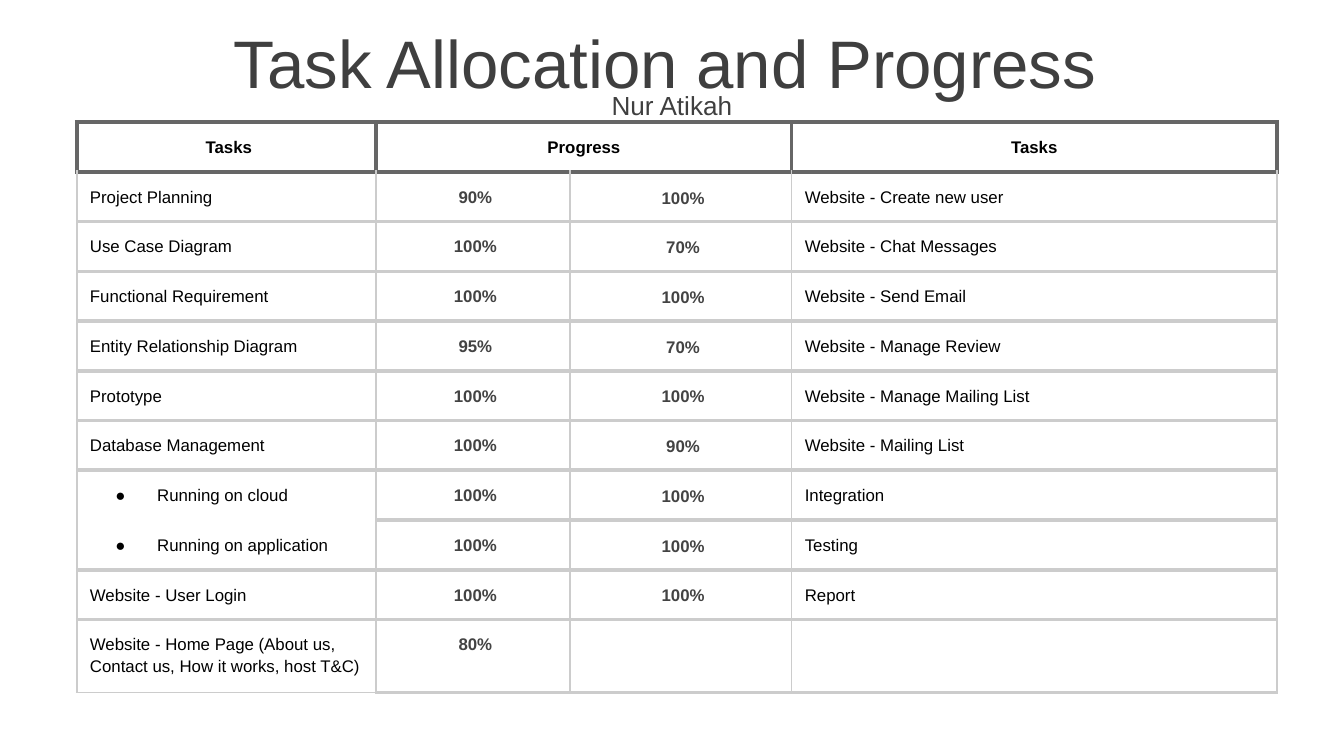
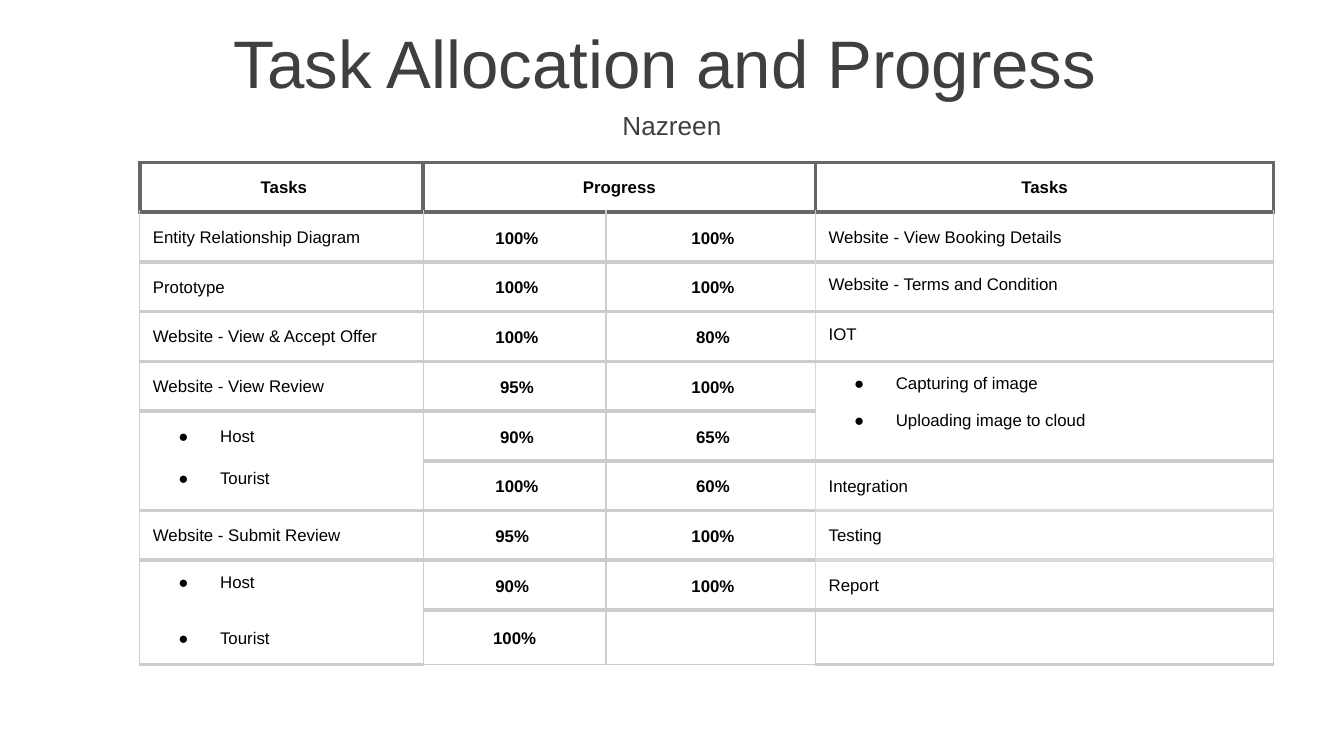
"""Build the two task allocation and progress slides."""
from dataclasses import dataclass
from typing import Optional, Union

from lxml.etree import SubElement
from pptx import Presentation
from pptx.dml.color import RGBColor
from pptx.enum.text import MSO_ANCHOR, PP_ALIGN
from pptx.oxml.ns import qn
from pptx.util import Cm, Pt

FONT = "Arial"
BLACK, TITLE_GRAY, DARK_GRAY = "000000", "3F3F3F", "434343"
HEADER_LINE, GRID_LINE, PALE_LINE = "666666", "CCCCCC", "D9D9D9"
THIN, THICK = 1.0, 2.25
LINE_SPACING = 1.15
ROW_HEIGHT = 0.94
HEADER = (" Tasks", "Progress", None, "Tasks")


@dataclass(frozen=True)
class Entry:
    """Content of a table cell that departs from a plain line."""
    lines: tuple[str, ...]
    bulleted: bool = False
    line_spacing: float = LINE_SPACING
    gap: float = 0
    row_span: int = 1


@dataclass(frozen=True)
class EdgeRule:
    """Special line on one side of the cells of a column."""
    rows: range
    column: int
    side: str
    colour: Optional[str]
    width: float


@dataclass(frozen=True)
class ProgressSlide:
    """One member's tasks with their progress."""
    member: str
    member_top: float
    left: float
    top: float
    column_widths: tuple[float, ...]
    last_row_height: float
    percent_colour: str
    first_percent_anchor: MSO_ANCHOR
    rows: tuple[tuple[Union[str, Entry, None], ...], ...]
    edge_rules: tuple[EdgeRule, ...]


PROGRESS_SLIDES = (
    ProgressSlide(
        "Nur Atikah", 1.6, 1.45, 2.31, (5.66, 3.66, 4.19, 9.17), 1.36, DARK_GRAY, MSO_ANCHOR.TOP,
        (
            ("Project Planning", " 90%", " 100%", "Website - Create new user"),
            ("Use Case Diagram", " 100%", " 70%", "Website - Chat Messages"),
            ("Functional Requirement", " 100%", " 100%", "Website - Send Email"),
            ("Entity Relationship Diagram", " 95%", " 70%", "Website - Manage Review"),
            ("Prototype", " 100%", " 100%", "Website - Manage Mailing List"),
            ("Database Management", " 100%", " 90%", "Website - Mailing List"),
            (Entry(("Running on cloud",), bulleted=True), " 100%", " 100%", "Integration"),
            (Entry(("Running on application",), bulleted=True), " 100%", " 100%", "Testing"),
            ("Website - User Login", " 100%", " 100%", "Report"),
            ("Website - Home Page (About us, Contact us, How it works, host T&C)", " 80%", None, None),
        ),
        (
            EdgeRule(range(7, 8), 0, "B", None, 0),
            EdgeRule(range(8, 9), 0, "T", None, 0),
            EdgeRule(range(10, 11), 0, "B", GRID_LINE, THIN),
        ),
    ),
    ProgressSlide(
        "Nazreen", 1.96, 2.64, 3.07, (5.36, 3.45, 3.96, 8.66), 1.02, BLACK, MSO_ANCHOR.MIDDLE,
        (
            ("Entity Relationship Diagram", " 100%", " 100%", "Website - View Booking Details"),
            ("Prototype", " 100%", " 100%", Entry(("Website - Terms and Condition",), line_spacing=1)),
            ("Website - View & Accept Offer", " 100%", " 80%", Entry(("IOT",), line_spacing=1)),
            ("Website - View Review", " 95%", " 100%",
             Entry(("Capturing of image", "Uploading image to cloud"), True, 1, 9.5, 2)),
            (Entry(("Host", "Tourist"), True, LINE_SPACING, 11, 2), " 90%", " 65%", None),
            (None, " 100%", " 60%", "Integration"),
            ("Website - Submit Review", "95% ", " 100%", "Testing"),
            (Entry(("Host", "Tourist"), True, 1, 20, 2), "90% ", " 100%", "Report"),
            (None, "100%", None, None),
        ),
        (
            EdgeRule(range(2, 9), 2, "R", PALE_LINE, THIN),
            EdgeRule(range(2, 9), 3, "L", PALE_LINE, THIN),
            EdgeRule(range(6, 8), 3, "B", PALE_LINE, THICK),
            EdgeRule(range(7, 9), 3, "T", PALE_LINE, THICK),
            EdgeRule(range(7, 8), 0, "L", PALE_LINE, THIN),
            EdgeRule(range(9, 10), 1, "B", GRID_LINE, THIN),
            EdgeRule(range(9, 10), 2, "B", GRID_LINE, THIN),
        ),
    ),
)


def rgb(colour: str) -> RGBColor:
    """Turn a hex string into a colour."""
    return RGBColor.from_string(colour)


def style_paragraph(paragraph, size: float, colour: str, bold: bool = False, centred: bool = False) -> None:
    """Set the font and alignment of a paragraph."""
    paragraph.alignment = PP_ALIGN.CENTER if centred else PP_ALIGN.LEFT
    paragraph.font.name = FONT
    paragraph.font.size = Pt(size)
    paragraph.font.bold = bold
    paragraph.font.color.rgb = rgb(colour)


def add_heading(slide, text: str, left: float, top: float, height: float, size: float) -> None:
    """Add a centred line of text as wide as the slide."""
    text_frame = slide.shapes.add_textbox(Cm(left), Cm(top), Cm(25.4), Cm(height)).text_frame
    text_frame.word_wrap = True
    text_frame.vertical_anchor = MSO_ANCHOR.MIDDLE
    text_frame.text = text
    style_paragraph(text_frame.paragraphs[0], size, TITLE_GRAY, centred=True)


def add_bullet(paragraph) -> None:
    """Give a paragraph a round bullet and a hanging indent."""
    properties = paragraph._p.get_or_add_pPr()
    properties.set("marL", str(Cm(1.27)))
    properties.set("indent", str(Cm(-0.79)))
    SubElement(SubElement(properties, qn("a:buClr")), qn("a:srgbClr"), val=BLACK)
    SubElement(properties, qn("a:buFont"), typeface=FONT)
    SubElement(properties, qn("a:buChar"), char="●")


def draw_edges(cell, row: int, column: int, rules: tuple[EdgeRule, ...]) -> None:
    """Draw the four borders of a cell and clear its fill."""
    properties = cell._tc.get_or_add_tcPr()
    for side in "LRTB":
        colour, width = GRID_LINE, THIN if side in "LR" else THICK
        if row == 0 or (row == 1 and side == "T"):
            colour, width = HEADER_LINE, THICK
        for rule in rules:
            if row in rule.rows and (column, side) == (rule.column, rule.side):
                colour, width = rule.colour, rule.width
        line = SubElement(properties, qn(f"a:ln{side}"), w=str(Pt(width)))
        if colour is None:
            SubElement(line, qn("a:noFill"))
        else:
            SubElement(SubElement(line, qn("a:solidFill")), qn("a:srgbClr"), val=colour)
    cell.fill.background()


def fill_cell(cell, entry: Entry, colour: str, bold: bool, margin: float, anchor: MSO_ANCHOR) -> None:
    """Write an entry into a cell."""
    cell.margin_left = cell.margin_right = cell.margin_top = cell.margin_bottom = Cm(margin)
    cell.vertical_anchor = anchor
    cell.text_frame.text = "\n".join(entry.lines)
    for index, paragraph in enumerate(cell.text_frame.paragraphs):
        if entry.bulleted:
            add_bullet(paragraph)
        paragraph.line_spacing = entry.line_spacing
        if index:
            paragraph.space_before = Pt(entry.gap)
        style_paragraph(paragraph, 9, colour, bold, centred=bold)


def add_progress_table(slide, content: ProgressSlide) -> None:
    """Add the table of tasks and percentages."""
    rows = (HEADER, *content.rows)
    heights = [ROW_HEIGHT] * len(content.rows) + [content.last_row_height]
    table = slide.shapes.add_table(
        len(rows), len(HEADER), Cm(content.left), Cm(content.top),
        Cm(sum(content.column_widths)), Cm(sum(heights)),
    ).table
    table.first_row = table.horz_banding = False
    for table_column, width in zip(table.columns, content.column_widths):
        table_column.width = Cm(width)
    for table_row, height in zip(table.rows, heights):
        table_row.height = Cm(height)
    table.cell(0, 1).merge(table.cell(0, 2))
    for row, values in enumerate(rows):
        for column, value in enumerate(values):
            cell = table.cell(row, column)
            draw_edges(cell, row, column, content.edge_rules)
            if value is None:
                continue
            entry = value if isinstance(value, Entry) else Entry((value,))
            if entry.row_span > 1:
                cell.merge(table.cell(row + entry.row_span - 1, column))
            percent = row > 0 and column in (1, 2)
            anchor = MSO_ANCHOR.TOP
            if percent:
                anchor = content.first_percent_anchor if column == 1 else MSO_ANCHOR.MIDDLE
            fill_cell(
                cell, entry, content.percent_colour if percent else BLACK, percent or row == 0,
                0.03 if percent and column == 2 else 0.25, anchor,
            )


def main() -> None:
    """Build and save the presentation."""
    presentation = Presentation()
    presentation.slide_width, presentation.slide_height = Cm(25.4), Cm(14.29)
    for content in PROGRESS_SLIDES:
        slide = presentation.slides.add_slide(presentation.slide_layouts[6])
        add_heading(slide, "Task Allocation and Progress", -0.13, 0.36, 1.6, 36)
        add_heading(slide, content.member, 0, content.member_top, 0.79, 14)
        add_progress_table(slide, content)
    presentation.save("out.pptx")


if __name__ == "__main__":
    main()
